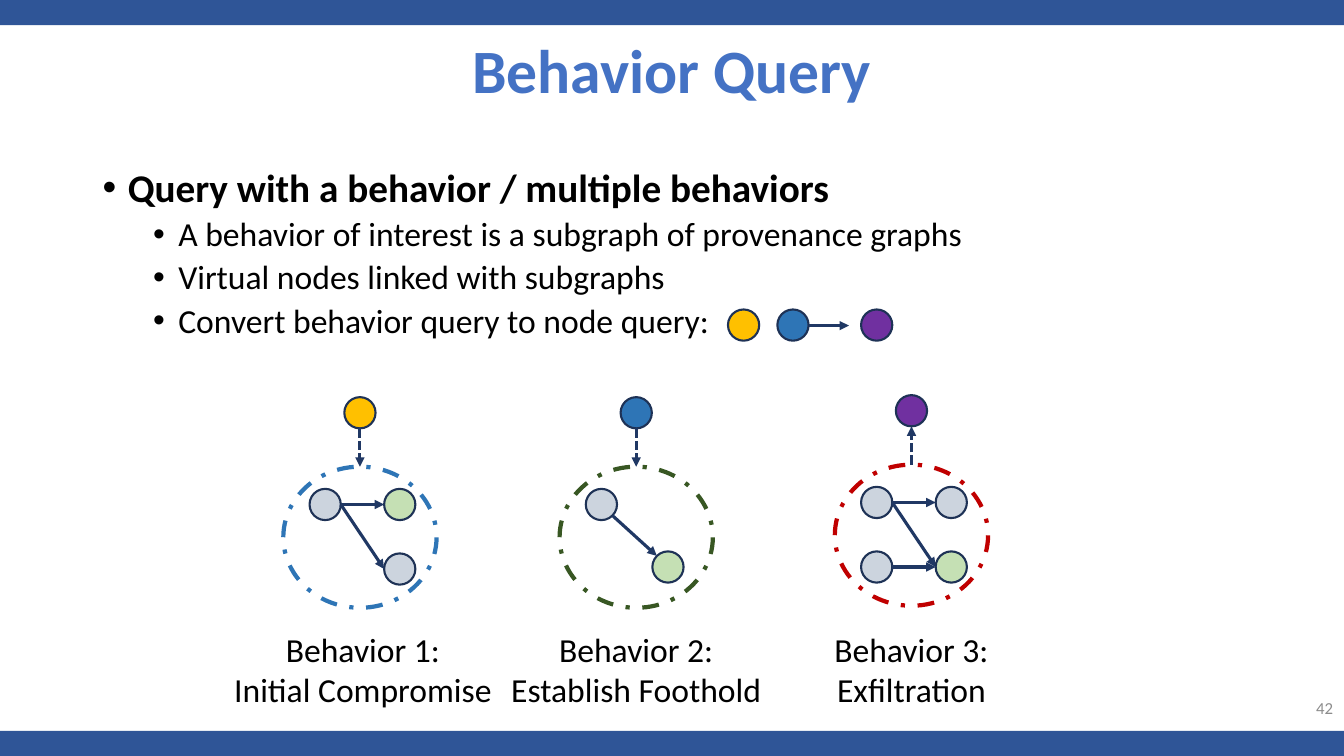
from dataclasses import dataclass
from typing import NamedTuple

import pptx
import pptx.dml.color
import pptx.enum.dml
import pptx.enum.shapes
import pptx.enum.text
import pptx.oxml.ns
import pptx.oxml.xmlchemy
import pptx.shapes.autoshape
import pptx.slide
import pptx.text.text
import pptx.util

Inches = pptx.util.Inches
DASH = pptx.enum.dml.MSO_LINE
SHAPE = pptx.enum.shapes.MSO_SHAPE
ALIGN = pptx.enum.text.PP_ALIGN
ANCHOR = pptx.enum.text.MSO_ANCHOR
Par = pptx.text.text._Paragraph
qn = pptx.oxml.ns.qn


@dataclass(frozen=True)
class Theme:
    font: str = "Calibri"
    bar: str = "2F5597"
    title: str = "4472C4"
    text: str = "000000"
    page: str = "8C8C8C"
    edge: str = "1E3256"
    arrow: str = "203864"
    grey: str = "CCD4DE"
    green: str = "C5E0B4"
    gold: str = "FFC000"
    blue: str = "2E75B6"
    purple: str = "7030A0"
    forest: str = "385723"
    red: str = "C00000"
    title_size: int = 44
    head_size: int = 28
    text_size: int = 24
    page_size: int = 12


class Node(NamedTuple):
    x: float
    y: float
    fill: str


class Link(NamedTuple):
    start: int
    end: int
    slant: bool = False  # leave and enter at 45 degrees


class Graph(NamedTuple):
    """A behavior; nodes are placed from the top left of its ring."""
    x: float
    y: float
    ring: str
    query: str
    nodes: tuple[Node, ...]
    links: tuple[Link, ...]
    label: tuple[str, str]
    mid: float
    upward: bool = False


THEME = Theme()
WIDE, HIGH, BAR = 13.33, 7.5, 0.25
DOT = 0.31
RING_W, RING_H = 1.52, 1.4
LEFT, RIGHT, TOP, LOW = 0.26, 1.0, 0.22, 0.86

GRAPHS = (
    Graph(2.81, 4.63, THEME.blue, THEME.gold,
          (Node(LEFT, TOP, THEME.grey), Node(RIGHT, TOP, THEME.green),
           Node(RIGHT, LOW, THEME.grey)),
          (Link(0, 2), Link(0, 1)),
          ("Behavior 1:", "Initial Compromise"), 3.6),
    Graph(5.55, 4.63, THEME.forest, THEME.blue,
          (Node(LEFT, TOP, THEME.grey), Node(0.92, 0.84, THEME.green)),
          (Link(0, 1, slant=True),),
          ("Behavior 2:", "Establish Foothold"), 6.31),
    Graph(8.28, 4.61, THEME.red, THEME.purple,
          (Node(LEFT, TOP, THEME.grey), Node(RIGHT, TOP, THEME.grey),
           Node(RIGHT, LOW, THEME.green), Node(LEFT, LOW, THEME.grey)),
          (Link(0, 2), Link(0, 1), Link(3, 2)),
          ("Behavior 3:", "Exfiltration"), 9.04, upward=True),
)
QUERY = (Node(7.22, 3.07, THEME.gold), Node(7.71, 3.07, THEME.blue),
         Node(8.54, 3.07, THEME.purple))


def rgb(code: str) -> pptx.dml.color.RGBColor:
    return pptx.dml.color.RGBColor.from_string(code)


def add_child(parent: pptx.oxml.xmlchemy.BaseOxmlElement, tag: str, **attrs: str) -> None:
    child = parent.makeelement(qn(tag), attrs)
    parent.append(child)


def add_shape(slide: pptx.slide.Slide, kind: SHAPE, x: float, y: float, w: float, h: float,
              fill: str | None = None) -> pptx.shapes.autoshape.Shape:
    shape = slide.shapes.add_shape(kind, Inches(x), Inches(y), Inches(w), Inches(h))
    shape.shadow.inherit = False
    if fill:
        shape.fill.solid()
        shape.fill.fore_color.rgb = rgb(fill)
    else:
        shape.fill.background()
    shape.line.fill.background()
    return shape


def add_oval(slide: pptx.slide.Slide, x: float, y: float, w: float, h: float, *,
             line: str, width: float, fill: str | None = None,
             dash: DASH | None = None) -> None:
    oval = add_shape(slide, SHAPE.OVAL, x, y, w, h, fill)
    oval.line.color.rgb = rgb(line)
    oval.line.width = pptx.util.Pt(width)
    oval.line.dash_style = dash


def add_node(slide: pptx.slide.Slide, x: float, y: float, fill: str) -> None:
    add_oval(slide, x, y, DOT, DOT, line=THEME.edge, width=1.5, fill=fill)


def add_arrow(slide: pptx.slide.Slide, x1: float, y1: float, x2: float, y2: float,
              dash: DASH | None = None) -> None:
    arrow = slide.shapes.add_connector(pptx.enum.shapes.MSO_CONNECTOR.STRAIGHT,
                                       Inches(x1), Inches(y1), Inches(x2), Inches(y2))
    arrow.line.color.rgb = rgb(THEME.arrow)
    arrow.line.width = pptx.util.Pt(2.25)
    arrow.line.dash_style = dash
    add_child(arrow.line._get_or_add_ln(), "a:tailEnd", type="triangle")
    add_child(arrow._element.spPr, "a:effectLst")


def add_bullet(par: Par, indent: float) -> None:
    props = par._p.get_or_add_pPr()
    props.set("marL", str(Inches(indent)))
    props.set("indent", str(Inches(-0.25)))
    add_child(props, "a:buFont", typeface="Arial")
    add_child(props, "a:buChar", char="•")


def write(par: Par, text: str, *, size: float = THEME.text_size,
          color: str = THEME.text, bold: bool = False, align: ALIGN = ALIGN.LEFT,
          space: float = 0, line: float = 1.0) -> None:
    par.alignment = align
    par.line_spacing = line
    par.space_before = pptx.util.Pt(space)
    run = par.add_run()
    run.text = text
    run.font.name = THEME.font
    run.font.size = pptx.util.Pt(size)
    run.font.bold = bold
    run.font.color.rgb = rgb(color)


def add_box(slide: pptx.slide.Slide, x: float, y: float, w: float, h: float,
            anchor: ANCHOR = ANCHOR.TOP) -> pptx.text.text.TextFrame:
    frame = slide.shapes.add_textbox(Inches(x), Inches(y), Inches(w), Inches(h)).text_frame
    frame.word_wrap = True
    frame.vertical_anchor = anchor
    return frame


def draw_link(slide: pptx.slide.Slide, graph: Graph, link: Link) -> None:
    start, end = graph.nodes[link.start], graph.nodes[link.end]
    half = DOT / 2
    dx, dy = (half * 0.71, half * 0.71) if link.slant else (half, 0)
    x, y = graph.x + half, graph.y + half
    add_arrow(slide, x + start.x + dx, y + start.y + dy, x + end.x - dx, y + end.y - dy)


def draw_graph(slide: pptx.slide.Slide, graph: Graph) -> None:
    add_oval(slide, graph.x, graph.y, RING_W, RING_H,
             line=graph.ring, width=3, dash=DASH.DASH_DOT)
    for node in graph.nodes:
        add_node(slide, graph.x + node.x, graph.y + node.y, node.fill)
    for link in graph.links:
        draw_link(slide, graph, link)

    # Virtual node above the ring
    mid, gap = graph.x + RING_W / 2, 0.38
    add_node(slide, mid - DOT / 2, graph.y - gap - DOT, graph.query)
    ends = (graph.y, graph.y - gap) if graph.upward else (graph.y - gap, graph.y)
    add_arrow(slide, mid, ends[0], mid, ends[1], DASH.SQUARE_DOT)

    # Label below the ring
    width = 2.86
    frame = add_box(slide, graph.mid - width / 2, 6.19, width, 0.91)
    write(frame.paragraphs[0], graph.label[0], align=ALIGN.CENTER)
    write(frame.add_paragraph(), graph.label[1], align=ALIGN.CENTER)


def main() -> None:
    deck = pptx.Presentation()
    deck.slide_width, deck.slide_height = Inches(WIDE), Inches(HIGH)
    slide = deck.slides.add_slide(deck.slide_layouts[6])

    # Bars and title
    for top in (HIGH - BAR, 0):
        add_shape(slide, SHAPE.RECTANGLE, 0, top, WIDE, BAR, THEME.bar)
    title = add_box(slide, 0, 0, WIDE, 1.46, ANCHOR.MIDDLE)
    write(title.paragraphs[0], "Behavior Query", size=THEME.title_size, color=THEME.title,
          bold=True, align=ALIGN.CENTER, line=0.9)

    # Bullet points
    body = add_box(slide, 0.92, 1.62, 11.5, 2.74)
    add_bullet(body.paragraphs[0], 0.25)
    write(body.paragraphs[0], "Query with a behavior / multiple behaviors",
          size=THEME.head_size, bold=True, line=0.9)
    for point in ("A behavior of interest is a subgraph of provenance graphs",
                  "Virtual nodes linked with subgraphs",
                  "Convert behavior query to node query:"):
        par = body.add_paragraph()
        par.level = 1
        add_bullet(par, 0.75)
        write(par, point, space=5, line=0.9)

    # Behaviors and the node query
    for graph in GRAPHS:
        draw_graph(slide, graph)
    for node in QUERY:
        add_node(slide, *node)
    add_arrow(slide, 8.02, 3.23, 8.42, 3.23)

    # Page number
    page = add_box(slide, 10.32, 6.82, 3, 0.4, ANCHOR.MIDDLE)
    write(page.paragraphs[0], "42", size=THEME.page_size, color=THEME.page, align=ALIGN.RIGHT)

    deck.save("out.pptx")


if __name__ == "__main__":
    main()
